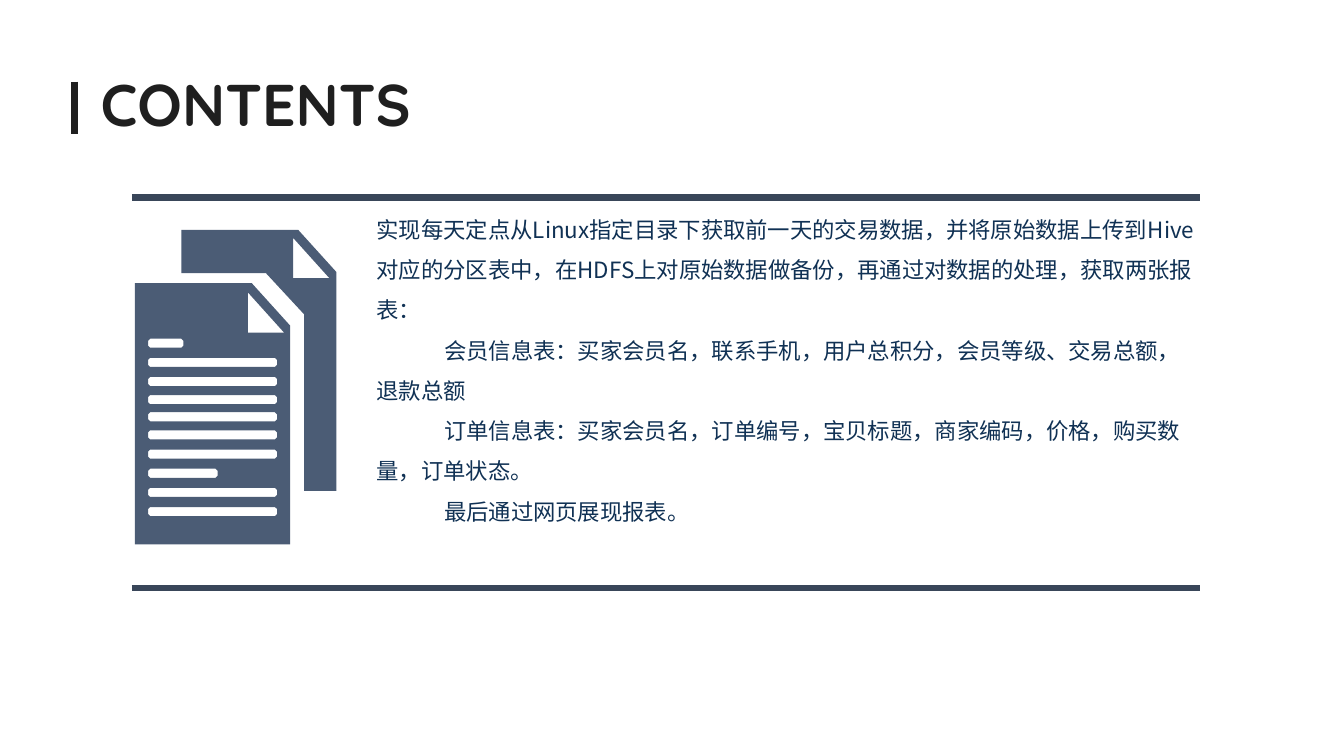
"""Build the contents slide with a document icon and a project summary."""
from pptx import Presentation
from pptx.dml.color import RGBColor
from pptx.enum.shapes import MSO_CONNECTOR
from pptx.enum.text import MSO_AUTO_SIZE
from pptx.oxml.ns import qn
from pptx.util import Inches, Pt
from lxml import etree

STRAIGHT = MSO_CONNECTOR.STRAIGHT
GROW = MSO_AUTO_SIZE.SHAPE_TO_FIT_TEXT
INK = RGBColor(0x1F, 0x1F, 0x1F)
RULE = RGBColor(0x39, 0x46, 0x59)
ICON = RGBColor(0x4B, 0x5C, 0x75)
NAVY = RGBColor(0x10, 0x31, 0x54)

TITLE = {"name": "Quicksand", "size": Pt(42), "bold": True}
BODY = {"name": "Noto Sans CJK SC", "size": Pt(16)}
LINES = [
    "实现每天定点从Linux指定目录下获取前一天的交易数据，并将原始数据上传到Hive对应的分区表中，在HDFS上对原始数据做备份，再通过对数据的处理，获取两张报表：",
    "\t会员信息表：买家会员名，联系手机，用户总积分，会员等级、交易总额，退款总额",
    "\t订单信息表：买家会员名，订单编号，宝贝标题，商家编码，价格，购买数量，订单状态。",
    "\t最后通过网页展现报表。",
]

deck = Presentation()
deck.slide_width, deck.slide_height = Inches(13.34), Inches(7.5)
slide = deck.slides.add_slide(deck.slide_layouts[6])
shapes = slide.shapes


def add_text(box, lines, style, color, wrap, gap):
    left, top, width, height = map(Inches, box)
    frame = shapes.add_textbox(left, top, width, height).text_frame
    frame.word_wrap = wrap
    frame.auto_size = GROW
    for i, line in enumerate(lines):
        para = frame.paragraphs[0] if i == 0 else frame.add_paragraph()
        para.line_spacing = gap
        if line.startswith("\t"):
            tabs = etree.SubElement(para._p.get_or_add_pPr(), qn("a:tabLst"))
            etree.SubElement(tabs, qn("a:tab"), pos=str(Inches(0.67)), algn="l")
        run = para.add_run()
        run.text = line
        for key, value in style.items():
            setattr(run.font, key, value)
        run.font.color.rgb = color
        etree.SubElement(run._r.get_or_add_rPr(), qn("a:ea"), typeface=style["name"])


add_text((0.9, 0.62, 3.31, 0.8), ["CONTENTS"], TITLE, INK, False, 1.0)

for x1, y1, x2, y2, color in [
    (0.74, 0.81, 0.74, 1.33, INK),
    (1.31, 1.96, 11.91, 1.96, RULE),
    (1.31, 5.83, 11.91, 5.83, RULE),
]:
    rule = shapes.add_connector(STRAIGHT, *map(Inches, (x1, y1, x2, y2)))
    rule.line.color.rgb = color
    rule.line.width = Pt(4.5)
    etree.SubElement(rule._element.spPr, qn("a:effectLst"))

front = [(1.34, 2.81), (2.5, 2.81), (2.88, 3.23), (2.88, 5.4), (1.34, 5.4)]
back = [(1.8, 2.28), (2.96, 2.28), (3.34, 2.7), (3.34, 4.87), (3.02, 4.87),
        (3.02, 3.12), (2.64, 2.71), (1.8, 2.71)]
folds = [[(x, y), (x, y + 0.4), (x + 0.36, y + 0.4)]
         for x, y in [(2.46, 2.9), (2.91, 2.36)]]

tops = [3.36, 3.55, 3.74, 3.92, 4.09, 4.27, 4.46, 4.65, 4.84, 5.03]
ends = {3.36: 1.82, 4.65: 2.16}
left, tall, cut = 1.47, 0.09, 0.02
bars = []
for top in tops:
    right, base = ends.get(top, 2.75), top + tall
    bars.append([
        (left + cut, top), (right - cut, top),
        (right, top + cut), (right, base - cut),
        (right - cut, base), (left + cut, base),
        (left, base - cut), (left, top + cut),
    ])

rings = [[(Inches(x), Inches(y)) for x, y in ring]
         for ring in [front, back] + folds + bars]
pen = shapes.build_freeform(*rings[0][0])
pen.add_line_segments(rings[0][1:])
for ring in rings[1:]:
    pen.move_to(*ring[0])
    pen.add_line_segments(ring[1:])
icon = pen.convert_to_shape()
icon.shadow.inherit = False
icon.fill.solid()
icon.fill.fore_color.rgb = ICON
icon.line.fill.background()

add_text((3.64, 1.96, 8.39, 3.3), LINES, BODY, NAVY, True, 1.5)

deck.save("out.pptx")
